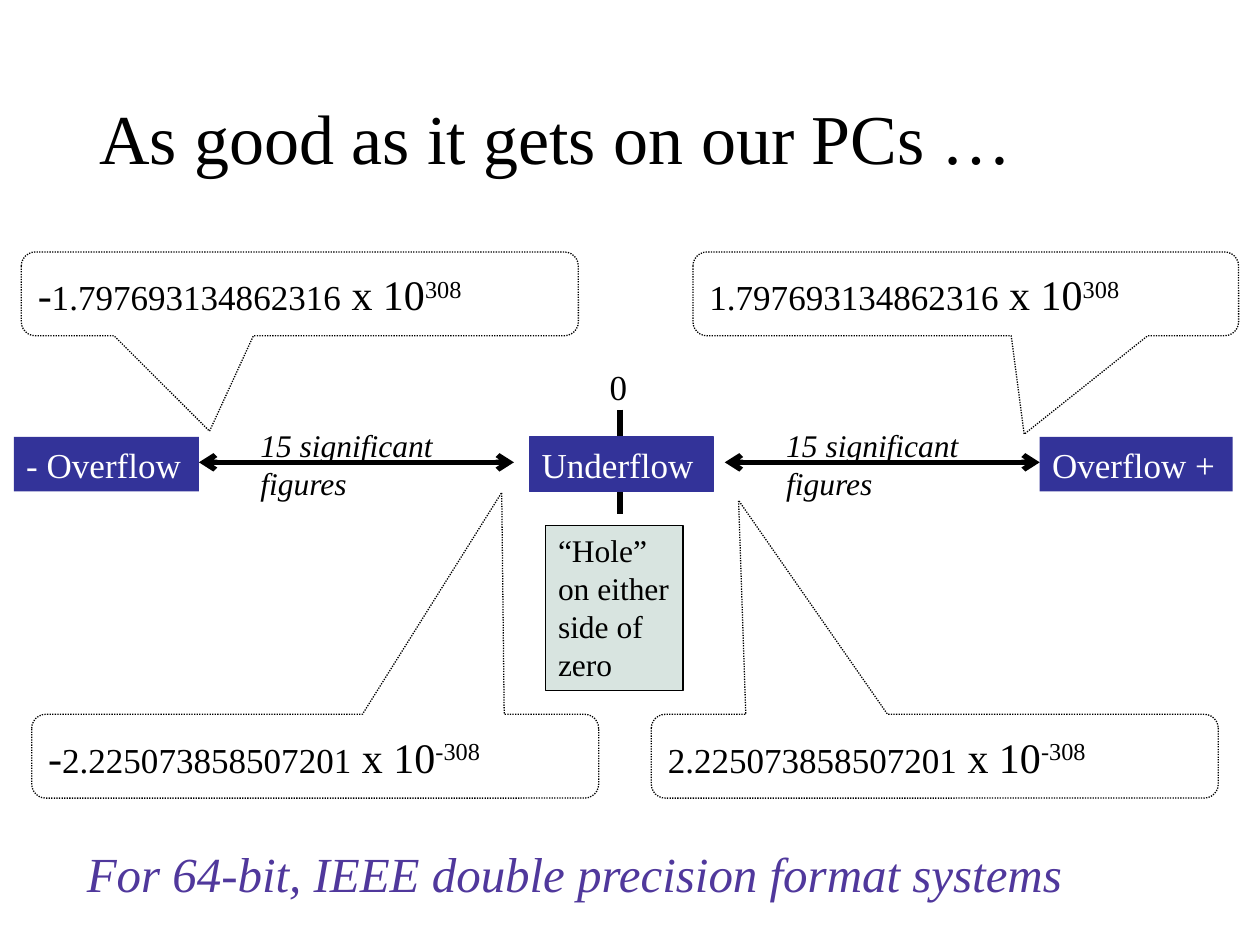
from lxml.etree import SubElement
from pptx import Presentation
from pptx.dml.color import RGBColor
from pptx.enum.dml import MSO_LINE
from pptx.enum.shapes import MSO_CONNECTOR, MSO_SHAPE
from pptx.enum.text import MSO_ANCHOR, MSO_AUTO_SIZE, PP_ALIGN
from pptx.oxml.ns import qn
from pptx.util import Cm, Pt

FONT = "Times New Roman"
BLACK, WHITE, NAVY, PALE, PURPLE = "000000", "FFFFFF", "333399", "D8E4E0", "50389C"

TITLE = ("As good as it gets on our PCs …", (1.75, 1.02, 21.89, 3.68))
FOOTER = ("For 64-bit, IEEE double precision format systems", (1.5, 16.87, 20.37, 1.45))
ZERO = ("0", (12.04, 7.24, 0.86, 1.12))
HOLE = (["“Hole”", "on either", "side of", "zero"], (11, 10.59, 2.77, 3.33))
RANGE_BOXES = [
    ("- Overflow", 0.28, 3.73, None),
    ("Overflow +", 20.96, 3.89, None),
    ("Underflow", 10.67, 3.71, NAVY),
]
BOX_TOP, BOX_HEIGHT = 8.81, 1.1
PRECISION = ["15 significant", "figures"]
ARROW_STARTS, ARROW_LENGTH, AXIS_Y = [4.01, 14.61], 6.35, 9.32
ZERO_X, ZERO_TOP, ZERO_BOTTOM = 12.5, 8.26, 10.36
CALLOUT_HEIGHT = 1.69
CALLOUTS = [
    ("", "1.797693134862316", "308", (13.97, 5.08, 11), (0.107, 1.674)),
    ("-", "1.797693134862316", "308", (0.43, 5.08, 11.23), (-0.162, 1.638)),
    ("", "2.225073858507201", "-308", (13.13, 14.4, 11.43), (-0.346, -3.052)),
    ("-", "2.225073858507201", "-308", (0.64, 14.4, 11.43), (0.329, -3.146)),
]


def rgb(color):
    return RGBColor.from_string(color)


def set_font(font, size, color=BLACK, italic=False):
    font.name = FONT
    font.size = Pt(size)
    font.color.rgb = rgb(color)
    font.italic = italic


def write(sp, lines, size, color=BLACK, italic=False):
    tf = sp.text_frame
    tf.word_wrap = False
    tf.auto_size = MSO_AUTO_SIZE.SHAPE_TO_FIT_TEXT
    tf.vertical_anchor = MSO_ANCHOR.TOP
    tf.text = "\n".join(lines)
    for p in tf.paragraphs:
        p.alignment = PP_ALIGN.LEFT
        set_font(p.font, size, color, italic)
    return tf


def add_text(s, box, lines, size, color=BLACK, italic=False):
    sp = s.shapes.add_textbox(*map(Cm, box))
    return write(sp, lines, size, color, italic)


def add_shape(s, kind, box, fill=None, line=None):
    sp = s.shapes.add_shape(kind, *map(Cm, box))
    sp.shadow.inherit = False
    if fill:
        sp.fill.solid()
        sp.fill.fore_color.rgb = rgb(fill)
    else:
        sp.fill.background()
    if line:
        sp.line.color.rgb = rgb(line)
        sp.line.width = Pt(0.75)
    else:
        sp.line.fill.background()
    return sp


def add_line(s, x1, y1, x2, y2, arrows=False):
    c = s.shapes.add_connector(MSO_CONNECTOR.STRAIGHT, Cm(x1), Cm(y1), Cm(x2), Cm(y2))
    c.line.color.rgb = rgb(BLACK)
    c.line.width = Pt(3)
    if arrows:
        ln = c.line._get_or_add_ln()
        for end in ("a:headEnd", "a:tailEnd"):
            SubElement(ln, qn(end), type="arrow")
    SubElement(c._element.spPr, qn("a:effectLst"))


def add_callout(s, sign, digits, power, box, tip):
    sp = add_shape(s, MSO_SHAPE.ROUNDED_RECTANGULAR_CALLOUT, (*box, CALLOUT_HEIGHT), line=BLACK)
    sp.line.dash_style = MSO_LINE.ROUND_DOT
    for i, value in enumerate((*tip, 0.167)):
        sp.adjustments[i] = value
    tf = sp.text_frame
    tf.word_wrap = True
    tf.vertical_anchor = MSO_ANCHOR.MIDDLE
    p = tf.paragraphs[0]
    p.alignment = PP_ALIGN.LEFT
    for text, size in ((sign, 24), (digits, 20), (" x 10", 24), (power, 24)):
        if text:
            r = p.add_run()
            r.text = text
            set_font(r.font, size)
    r._r.get_or_add_rPr().set("baseline", "30000")


def add_range_box(s, text, left, width, line):
    sp = add_shape(s, MSO_SHAPE.RECTANGLE, (left, BOX_TOP, width, BOX_HEIGHT), NAVY, line)
    write(sp, [text], 20, WHITE)


def main():
    prs = Presentation()
    prs.slide_width, prs.slide_height = Cm(25.4), Cm(19.05)
    s = prs.slides.add_slide(prs.slide_layouts[6])

    *overflows, underflow = RANGE_BOXES
    for box in overflows:
        add_range_box(s, *box)
    for x in ARROW_STARTS:
        add_line(s, x, AXIS_Y, x + ARROW_LENGTH, AXIS_Y, arrows=True)
    for callout in CALLOUTS:
        add_callout(s, *callout)
    for x in ARROW_STARTS:
        add_text(s, (x + 0.99, 8.46, 4.01, 1.8), PRECISION, 18, italic=True)

    text, box = TITLE
    tf = add_text(s, box, [text], 40)
    tf.word_wrap = True
    tf.auto_size = MSO_AUTO_SIZE.NONE
    tf.vertical_anchor = MSO_ANCHOR.MIDDLE
    tf.paragraphs[0].line_spacing = 0.9

    lines, box = HOLE
    write(add_shape(s, MSO_SHAPE.RECTANGLE, box, PALE, BLACK), lines, 18)
    text, box = ZERO
    add_text(s, box, [text], 20)
    add_line(s, ZERO_X, ZERO_TOP, ZERO_X, ZERO_BOTTOM)
    add_range_box(s, *underflow)
    text, box = FOOTER
    add_text(s, box, [text], 28, PURPLE, italic=True)

    prs.save("out.pptx")


if __name__ == "__main__":
    main()
